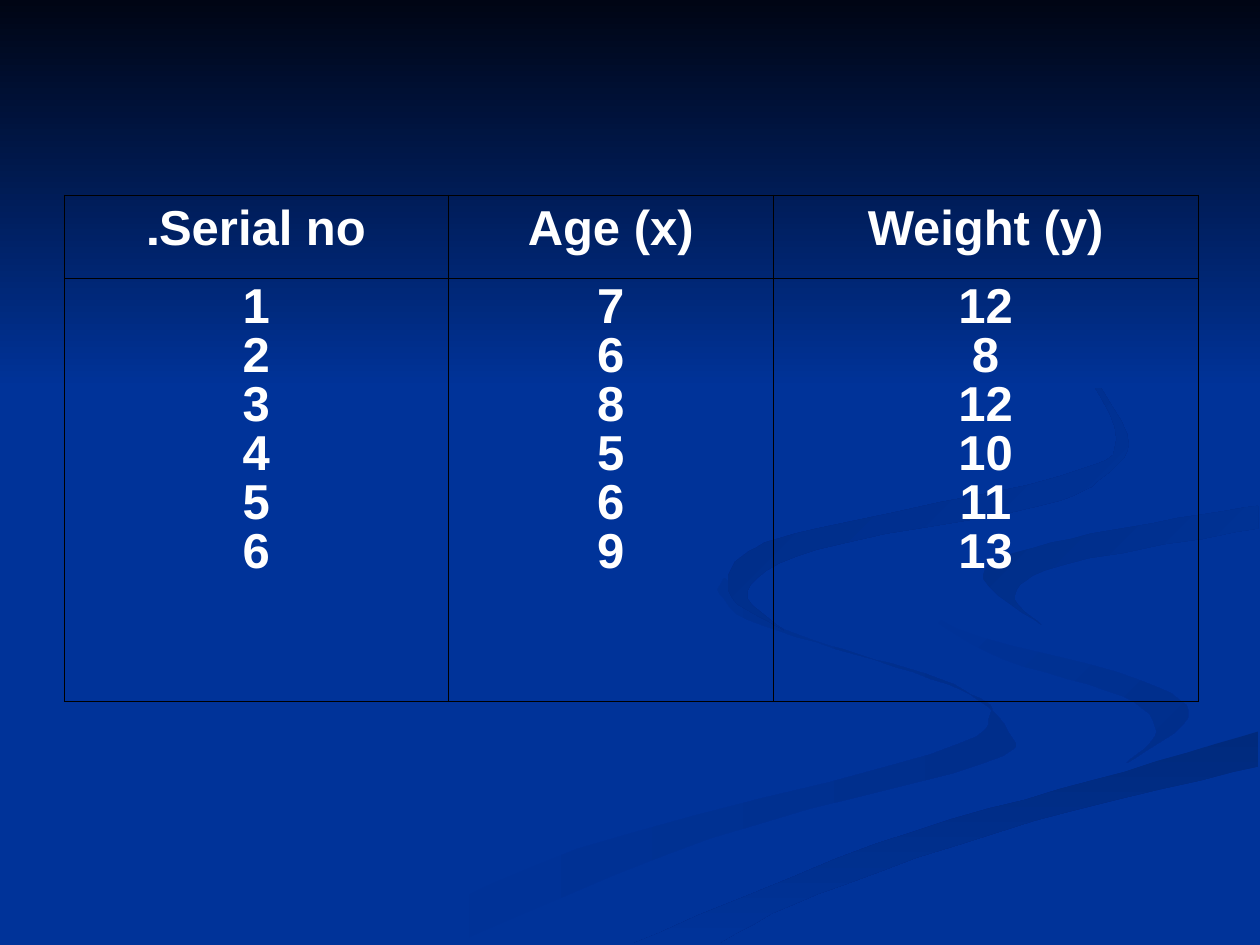
import dataclasses

import lxml.etree
import pptx
import pptx.dml.color
import pptx.enum.shapes
import pptx.enum.text
import pptx.oxml.ns
import pptx.util

Pt = pptx.util.Pt
qn = pptx.oxml.ns.qn
Point = tuple[float, float]

HUES = {
    "blue": "003399",
    "night": "000514",
    "line": "000000",
    "text": "FFFFFF",
    "tail": "002E8B",
    "bank": "002A7D",
    "curl": "002D86",
    "snake": "002B82",
}


@dataclasses.dataclass
class Wave:
    start: str
    end: str
    angle: int
    edges: list[list[Point]]


@dataclasses.dataclass
class Column:
    head: str
    width: float
    values: list[int]


WAVES = [
    Wave("blue", "blue", 0, [
        [(343, 539), (477, 481), (626, 440), (679, 410), (546, 359), (522, 334)],
        [(554, 307), (719, 279)],
        [(719, 289), (562, 333), (719, 387)],
        [(719, 418), (501, 482), (374, 538)]]),
    Wave("blue", "tail", 0, [
        [(414, 330), (442, 357), (491, 374), (545, 391), (576, 418),
         (562, 436), (406, 479), (260, 539)],
        [(216, 539), (330, 485), (532, 431), (566, 408), (549, 394),
         (489, 374), (427, 354), (410, 337)]]),
    Wave("blue", "tail", 45, [
        [(521, 334), (546, 359), (652, 389), (679, 410), (644, 436)],
        [(644, 436), (661, 418), (642, 398), (574, 377), (528, 351)]]),
    Wave("bank", "blue", 90, [
        [(362, 539), (501, 482), (624, 446), (719, 418)],
        [(719, 438), (591, 469), (467, 511), (411, 539)]]),
    Wave("curl", "blue", 45, [
        [(719, 289), (647, 301), (583, 315), (562, 331), (595, 357)],
        [(595, 357), (580, 340), (607, 323), (719, 302)]]),
    Wave("snake", "blue", 45, [
        [(549, 168), (607, 198), (644, 248), (631, 272), (594, 289),
         (467, 314), (427, 338), (448, 360)],
        [(448, 360), (418, 341), (424, 318), (467, 302), (606, 272),
         (638, 251), (609, 201), (549, 168)]]),
]

COLUMNS = [
    Column("Serial no.", 219.5, [1, 2, 3, 4, 5, 6]),
    Column("Age (x)", 185.5, [7, 6, 8, 5, 6, 9]),
    Column("Weight (y)", 243, [12, 8, 12, 10, 11, 13]),
]
ROWS = [47.5, 242]
STEPS = 6


def color(name: str) -> pptx.dml.color.RGBColor:
    return pptx.dml.color.RGBColor.from_string(HUES[name])


def blend(a: float, b: float, c: float, d: float, t: float) -> float:
    return b + t / 2 * (
        c - a + t * (2 * a - 5 * b + 4 * c - d + t * (3 * (b - c) + d - a))
    )


def smooth(knots: list[Point]) -> list[Point]:
    ends = [knots[0], *knots, knots[-1]]
    curve = [
        tuple(blend(*axis, step / STEPS) for axis in zip(*ends[i:i + 4]))
        for i in range(len(knots) - 1)
        for step in range(STEPS)
    ]
    return [*curve, knots[-1]]


def paint(shape, start: str, end: str, angle: int) -> None:
    shape.shadow.inherit = False
    shape.line.fill.background()
    if start == end:
        shape.fill.solid()
        shape.fill.fore_color.rgb = color(start)
        return
    shape.fill.gradient()
    shape.fill.gradient_angle = -angle % 360
    for stop, name in zip(shape.fill.gradient_stops, (start, end)):
        stop.color.rgb = color(name)


def draw_wave(slide, wave: Wave) -> None:
    first, *rest = [point for edge in wave.edges for point in smooth(edge)]
    form = slide.shapes.build_freeform(*first, scale=Pt(1))
    form.add_line_segments(rest, close=True)
    paint(form.convert_to_shape(), wave.start, wave.end, wave.angle)


def draw_cell(cell, text: str, is_head: bool) -> None:
    props = cell._tc.get_or_add_tcPr()
    for side in ("a:lnL", "a:lnR", "a:lnT", "a:lnB"):
        line = lxml.etree.SubElement(props, qn(side), w=str(Pt(0.45)))
        solid = lxml.etree.SubElement(line, qn("a:solidFill"))
        lxml.etree.SubElement(solid, qn("a:srgbClr"), val=HUES["line"])
    cell.fill.background()
    cell.text_frame.text = text
    for para in cell.text_frame.paragraphs:
        para.alignment = pptx.enum.text.PP_ALIGN.CENTER
        if is_head:
            para._p.get_or_add_pPr().set("rtl", "1")
        else:
            para.line_spacing = Pt(28)
        for run in para.runs:
            run.font.name = "Arial"
            run.font.size = Pt(28)
            run.font.bold = True
            run.font.color.rgb = color("text")


def draw_table(slide) -> None:
    width = sum(column.width for column in COLUMNS)
    table = slide.shapes.add_table(
        len(ROWS), len(COLUMNS), Pt(36.7), Pt(111.5), Pt(width), Pt(sum(ROWS))
    ).table
    for row, height in zip(table.rows, ROWS):
        row.height = Pt(height)
    for index, column in enumerate(COLUMNS):
        table.columns[index].width = Pt(column.width)
        draw_cell(table.cell(0, index), column.head, True)
        draw_cell(table.cell(1, index), "\n".join(map(str, column.values)), False)


def main() -> None:
    deck = pptx.Presentation()
    deck.slide_width, deck.slide_height = Pt(720), Pt(540)
    slide = deck.slides.add_slide(deck.slide_layouts[6])
    slide.background.fill.solid()
    slide.background.fill.fore_color.rgb = color("blue")
    for wave in WAVES:
        draw_wave(slide, wave)
    sky = slide.shapes.add_shape(
        pptx.enum.shapes.MSO_SHAPE.RECTANGLE, 0, 0, Pt(720), Pt(222)
    )
    paint(sky, "night", "blue", 90)
    draw_table(slide)
    deck.save("out.pptx")


if __name__ == "__main__":
    main()
